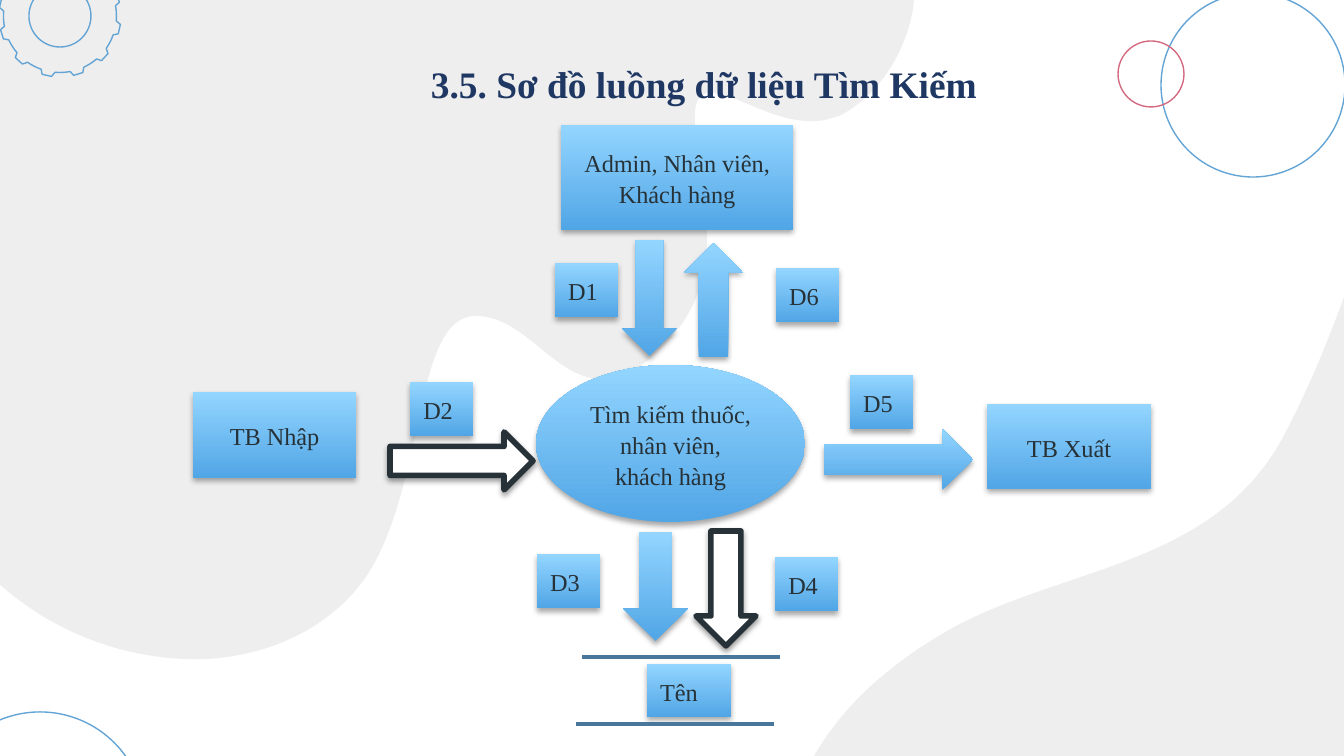
"""Build the data-flow slide for the search function."""
import math

import pptx
import pptx.dml.color
import pptx.enum.shapes
import pptx.enum.text
import pptx.oxml
import pptx.oxml.ns
import pptx.util

SCALE = 914400 / 134.4
SHAPE = pptx.enum.shapes.MSO_SHAPE
ALIGN = pptx.enum.text.PP_ALIGN
ANCHOR = pptx.enum.text.MSO_ANCHOR
FONT = "Times New Roman"
INK, OUTLINE, BLUE, ROSE = "263238", "FFFFFF", "63A4D5", "D36980"

UPPER_BLOB = [
    (207, 659), (277, 655, 339, 622, 371, 569), (426, 476, 414, 320, 474, 316),
    (475, 316, 476, 316, 477, 316), (527, 317, 556, 382, 605, 379),
    (620, 379, 637, 371, 657, 352), (743, 274, 691, 177, 695, 114),
    (695, 98, 702, 93, 710, 93), (732, 91, 775, 124, 816, 121),
    (824, 121, 831, 118, 839, 116), (898, 86, 922, 11, 913, -31),
    (903, -74, 930, -130, 930, -130), (-145, -71),
    (-145, -71, -146, 210, -109, 396), (-109, 396, -81, 542, 44, 617),
    (98, 649, 155, 661, 207, 659),
]
LOWER_BLOB = [
    (722, 954), (1434, 1118), (1683, 34), (1672, 34, 1493, 31, 1434, 101),
    (1374, 175, 1352, 310, 1281, 441), (1208, 570, 1055, 567, 942, 634),
    (828, 702, 796, 775, 769, 870), (757, 910, 739, 935, 722, 954),
]
RINGS = [(-65, 712, 210, BLUE), (1161, -7, 184, BLUE), (1118, 41, 66, ROSE)]
NODES = [
    (SHAPE.RECTANGLE, (561, 125, 232, 105), "Admin, Nhân viên, Khách hàng"),
    (SHAPE.OVAL, (536, 365, 269, 157), "Tìm kiếm thuốc, nhân viên, khách hàng"),
    (SHAPE.RECTANGLE, (193, 392, 163, 86), "TB Nhập"),
    (SHAPE.RECTANGLE, (987, 404, 164, 85), "TB Xuất"),
]
FLOW_LABELS = {"D1": (555, 263), "D2": (410, 382), "D3": (537, 554),
               "D4": (775, 557), "D5": (850, 375), "D6": (776, 268)}
ARROWS = [
    (SHAPE.RIGHT_ARROW, (390, 432, 143, 58), True),
    (SHAPE.RIGHT_ARROW, (824, 429, 149, 61), False),
    (SHAPE.DOWN_ARROW, (623, 532, 65, 109), False),
    (SHAPE.DOWN_ARROW, (696, 531, 60, 115), True),
    (SHAPE.DOWN_ARROW, (622, 240, 55, 116), False),
    (SHAPE.UP_ARROW, (684, 243, 59, 114), False),
]


def px(length):
    """Turn pixels into EMU."""
    return pptx.util.Emu(round(length * SCALE))


def colour(value):
    """Turn a hex string into a colour."""
    return pptx.dml.color.RGBColor.from_string(value)


def apply(target, values):
    """Set each attribute named in values on the target."""
    for name, value in values.items():
        setattr(target, name, value)


def paint_solid(shape, fill):
    """Fill a shape with one colour."""
    shape.fill.solid()
    shape.fill.fore_color.rgb = colour(fill)


def paint_gradient(shape):
    """Give a shape the vertical blue gradient without an outline."""
    shape.fill.gradient()
    shape.fill.gradient_angle = 90
    for stop, tone in zip(shape.fill.gradient_stops, ("51A6E6", "93D5FF")):
        stop.color.rgb = colour(tone)
    shape.line.fill.background()


def draw_line(line, tone, width):
    """Set the colour and width of a line."""
    line.color.rgb = colour(tone)
    line.width = pptx.util.Pt(width)


def add_shadow(shape, alpha, distance):
    """Give a shape a soft shadow straight below it."""
    shape.shadow.inherit = False
    effects = shape._element.spPr.find(pptx.oxml.ns.qn("a:effectLst"))
    effects.append(pptx.oxml.parse_xml(
        f'<a:outerShdw {pptx.oxml.ns.nsdecls("a")} blurRad="{round(3.1 * 12700)}" '
        f'dist="{round(distance * 12700)}" dir="5400000" rotWithShape="0">'
        f'<a:srgbClr val="000000"><a:alpha val="{alpha * 1000}"/></a:srgbClr>'
        '</a:outerShdw>'))


def write(shape, text, size, tone, frame_format, paragraph_format, bold=False):
    """Put one formatted paragraph into a shape."""
    frame = shape.text_frame
    frame.text = text
    apply(frame, {"word_wrap": True, **frame_format})
    paragraph = frame.paragraphs[0]
    apply(paragraph, paragraph_format)
    font = paragraph.runs[0].font
    apply(font, {"name": FONT, "size": pptx.util.Pt(size), "bold": bold})
    font.color.rgb = colour(tone)


def polar(x, y, radius, degrees):
    """Find the point at an angle on a circle."""
    angle = math.radians(degrees)
    return x + radius * math.cos(angle), y + radius * math.sin(angle)


def arc(x, y, radius, start, end):
    """Make one cubic segment along a circle."""
    half = math.radians(end - start) / 2
    reach = radius * 4 / 3 * math.tan(half / 2)
    lean, far = math.degrees(math.atan2(reach, radius)), math.hypot(radius, reach)
    return (*polar(x, y, far, start + lean), *polar(x, y, far, end - lean),
            *polar(x, y, radius, end))


def add_outline(slide, *contours):
    """Add a freeform of closed contours with straight and cubic segments."""
    builder = slide.shapes.build_freeform(*map(px, contours[0][0]))
    for index, (start, *segments) in enumerate(contours):
        if index:
            builder.move_to(*map(px, start))
        builder.add_line_segments(
            [(px(x), px(y)) for segment in segments
             for x, y in zip(segment[::2], segment[1::2])], close=True)
    shape = builder.convert_to_shape()
    shape.shadow.inherit = False
    corners = iter(list(shape._element.spPr.iter(pptx.oxml.ns.qn("a:lnTo"))))
    for segment in (part for contour in contours for part in contour[1:]):
        group = [next(corners) for _ in segment[::2]]
        if len(group) == 3:
            curve = pptx.oxml.parse_xml(
                f'<a:cubicBezTo {pptx.oxml.ns.nsdecls("a")}/>')
            group[0].addprevious(curve)
            for corner in group:
                curve.append(corner[0])
                corner.getparent().remove(corner)
    return shape


def add_blob(slide, segments):
    """Add a translucent grey background area."""
    blob = add_outline(slide, segments)
    paint_solid(blob, "D6D7D7")
    blob.line.fill.background()
    tone = blob._element.spPr.find(".//" + pptx.oxml.ns.qn("a:srgbClr"))
    tone.append(pptx.oxml.parse_xml(
        f'<a:alpha {pptx.oxml.ns.nsdecls("a")} val="41000"/>'))


def add_gear(slide, x, y, teeth=12):
    """Add an outlined gear wheel with a round hole."""
    root, tip, hole, pitch = 56.5, 61, 31, 360 / teeth
    rim = [polar(x, y, root, 5)]
    for turn in (tooth * pitch for tooth in range(teeth)):
        rim += [polar(x, y, tip, turn + 8), polar(x, y, tip, turn + 17),
                polar(x, y, root, turn + 19.5),
                arc(x, y, root, turn + 19.5, turn + 5 + pitch)]
    bore = [polar(x, y, hole, 0)]
    bore += [arc(x, y, hole, turn, turn + 90) for turn in range(0, 360, 90)]
    gear = add_outline(slide, rim, bore)
    gear.fill.background()
    draw_line(gear.line, BLUE, 0.75)


def add_ring(slide, left, top, size, tone):
    """Add an outlined circle."""
    ring = slide.shapes.add_shape(SHAPE.OVAL, *map(px, (left, top, size, size)))
    ring.shadow.inherit = False
    ring.fill.background()
    draw_line(ring.line, tone, 0.75)


def add_node(slide, kind, box, text, alignment=ALIGN.CENTER):
    """Add a gradient box or ellipse with its text."""
    node = slide.shapes.add_shape(kind, *map(px, box))
    paint_gradient(node)
    add_shadow(node, 35, 1.8)
    write(node, text, 13, INK, {"vertical_anchor": ANCHOR.MIDDLE},
          {"alignment": alignment, "line_spacing": 1.07})


def add_arrow(slide, kind, box, outlined):
    """Add a block arrow, either outlined or with the gradient."""
    arrow = slide.shapes.add_shape(kind, *map(px, box))
    if outlined:
        paint_solid(arrow, OUTLINE)
        draw_line(arrow.line, INK, 3)
    else:
        paint_gradient(arrow)
    add_shadow(arrow, *((38, 1.6) if outlined else (35, 1.8)))


def add_store_line(slide, left, y, width=198):
    """Add a horizontal border of the data store."""
    border = slide.shapes.add_connector(
        pptx.enum.shapes.MSO_CONNECTOR.STRAIGHT, *map(px, (left, y, left + width, y)))
    draw_line(border.line, "48779B", 2)
    border._element.spPr.append(pptx.oxml.parse_xml(
        f'<a:effectLst {pptx.oxml.ns.nsdecls("a")}/>'))


def set_title(slide, text):
    """Place the title in front of the background."""
    title = slide.shapes.title
    slide.shapes._spTree.append(title._element)
    apply(title, {"left": px(284), "top": px(32), "width": px(714), "height": px(74)})
    write(title, text, 20, "1F3763",
          {"auto_size": pptx.enum.text.MSO_AUTO_SIZE.NONE,
           "vertical_anchor": ANCHOR.TOP, "margin_left": px(147)},
          {"alignment": ALIGN.LEFT, "line_spacing": 1.5}, bold=True)


def main():
    """Build and save the slide."""
    deck = pptx.Presentation()
    apply(deck, {"slide_width": px(1344), "slide_height": px(756)})
    slide = deck.slides.add_slide(deck.slide_layouts[5])
    for blob in (UPPER_BLOB, LOWER_BLOB):
        add_blob(slide, blob)
    add_gear(slide, 60, 16)
    for ring in RINGS:
        add_ring(slide, *ring)
    set_title(slide, "3.5. Sơ đồ luồng dữ liệu Tìm Kiếm")
    for node in NODES:
        add_node(slide, *node)
    add_node(slide, SHAPE.RECTANGLE, (647, 664, 84, 53), "Tên", ALIGN.LEFT)
    for label, (left, top) in FLOW_LABELS.items():
        add_node(slide, SHAPE.RECTANGLE, (left, top, 63, 54), label, ALIGN.LEFT)
    for left, y in ((582, 657), (576, 724)):
        add_store_line(slide, left, y)
    for arrow in ARROWS:
        add_arrow(slide, *arrow)
    deck.save("out.pptx")


if __name__ == "__main__":
    main()
